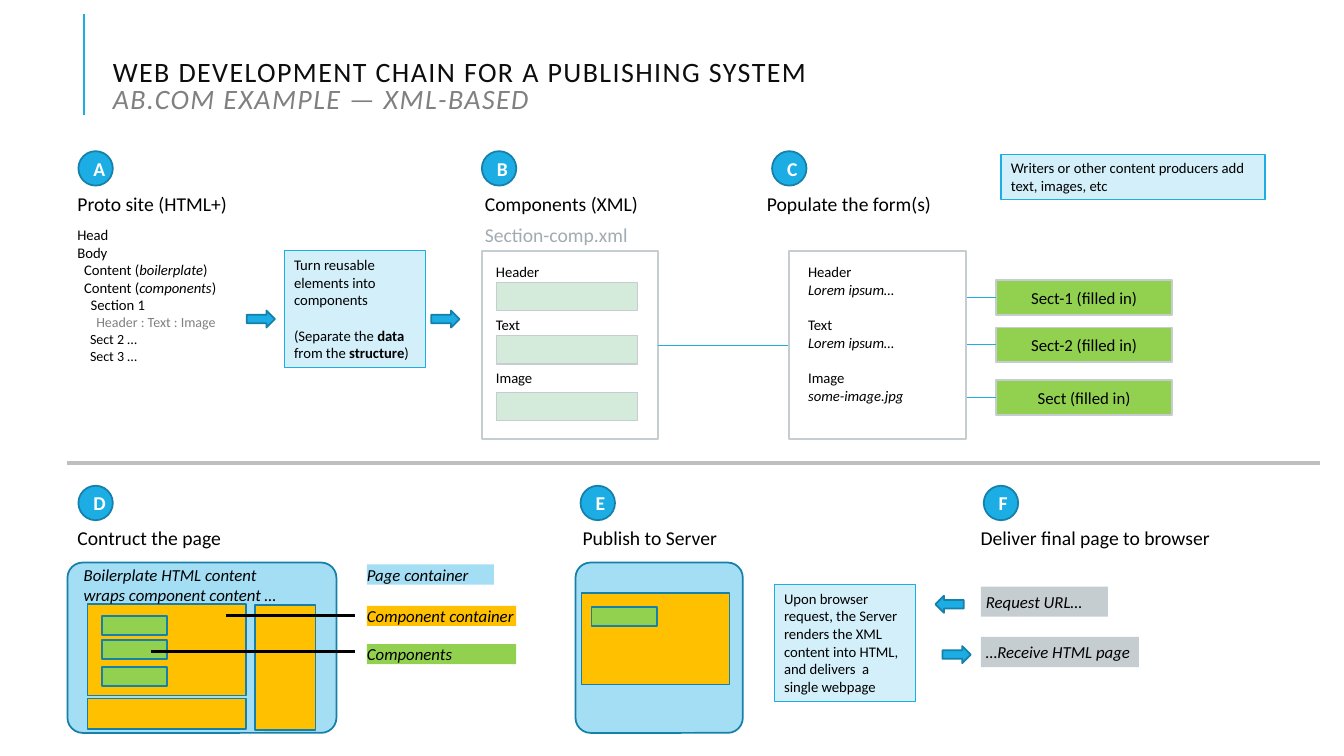
from dataclasses import dataclass
from pptx import Presentation
from pptx.dml.color import RGBColor
from pptx.enum.shapes import MSO_CONNECTOR as LINK, MSO_SHAPE as KIND
from pptx.enum.text import MSO_ANCHOR as ANCHOR, PP_ALIGN as ALIGN
from pptx.oxml.xmlchemy import OxmlElement
from pptx.util import Pt

BLUE, EDGE, SKY, PALE = "1CADE4", "1580A9", "A4DEF4", "D2EFFA"
GREEN, MINT, AMBER = "92D050", "D4EBDB", "FFC000"
SILVER, GRAY, BLACK, WHITE = "C6CDD1", "808080", "000000", "FFFFFF"
SMALL, LINE_GAP = 10.5, 12.6


@dataclass
class Line:
    """One paragraph: (text, style) spans, where style may hold b and i."""
    spans: list
    before: float = 0
    indent: float = 0
    size: float = 0
    color: str = ""


def rgb(value):
    """Turn a hex string into a colour."""
    return RGBColor.from_string(value)


def add_span(para, text, size, color, style=""):
    """Add one run to a paragraph."""
    span = para.add_run()
    span.text = text
    font = span.font
    font.name, font.size, font.color.rgb = "Calibri", Pt(size), rgb(color)
    font.bold, font.italic = "b" in style, "i" in style
    return span


def write(shape, lines, size, color=BLACK, style="", align=ALIGN.LEFT,
          anchor=ANCHOR.TOP, inset=None):
    """Fill a shape with paragraphs."""
    frame = shape.text_frame
    frame.word_wrap, frame.vertical_anchor = True, anchor
    if inset is not None:
        frame.margin_left = frame.margin_right = Pt(inset)
        frame.margin_top = frame.margin_bottom = Pt(inset)
    for index, line in enumerate(lines):
        if isinstance(line, str):
            line = Line([(line, style)])
        para = frame.add_paragraph() if index else frame.paragraphs[0]
        para.alignment, para.space_before = align, Pt(line.before)
        if line.indent:
            para._p.get_or_add_pPr().set("marL", str(Pt(line.indent)))
        for text, span_style in line.spans:
            add_span(para, text, line.size or size, line.color or color, span_style)


def add_box(page, box, fill, edge=None, weight=1.25, kind=KIND.RECTANGLE):
    """Draw a filled preset shape."""
    shape = page.shapes.add_shape(kind, *map(Pt, box))
    shape.shadow.inherit = False
    shape.fill.solid()
    shape.fill.fore_color.rgb = rgb(fill)
    if edge:
        shape.line.color.rgb, shape.line.width = rgb(edge), Pt(weight)
    else:
        shape.line.fill.background()
    return shape


def add_text(page, box, lines, size, **options):
    """Place a text box."""
    write(page.shapes.add_textbox(*map(Pt, box)), lines, size, **options)


def add_line(page, ends, color, weight, kind=LINK.STRAIGHT):
    """Draw a connector without a shadow."""
    line = page.shapes.add_connector(kind, *map(Pt, ends))
    line.line.color.rgb, line.line.width = rgb(color), Pt(weight)
    line._element.spPr.append(OxmlElement("a:effectLst"))
    return line


def add_arrow(page, left, top, turn=0):
    """Draw a small block arrow."""
    arrow = add_box(page, (left, top, 20.2, 12.2), BLUE, EDGE, kind=KIND.RIGHT_ARROW)
    arrow.rotation = turn


def add_callout(page, box, lines):
    """Draw a pale explanatory note."""
    write(add_box(page, box, PALE, BLUE, 0.75), lines, SMALL)


def add_container(page, box):
    """Draw a rounded page container."""
    shape = add_box(page, box, SKY, EDGE, kind=KIND.ROUNDED_RECTANGLE)
    shape.adjustments[0] = 0.09


def add_heading(page, left, top, letter, title, shift, width=150.5):
    """Place a step's lettered badge and its title."""
    badge = add_box(page, (left, top, 24.6, 24.6), BLUE, EDGE, kind=KIND.OVAL)
    write(badge, [letter], 14, WHITE, "b", ALIGN.CENTER, ANCHOR.MIDDLE)
    add_text(page, (left + shift, top + 25.2, width, 24.5), [title], 14)


def draw_title(page, left, top):
    """Draw the title with its accent line."""
    add_line(page, (left, top + 72, left, top), BLUE, 1.5)
    box = page.shapes.add_textbox(Pt(left + 20.8), Pt(top + 2.2), Pt(765.4), Pt(69.8))
    write(box, [], 20, anchor=ANCHOR.BOTTOM, inset=0)
    para = box.text_frame.paragraphs[0]
    para.line_spacing = 0.8
    first = add_span(para, "WEB DEVELOPMENT CHAIN FOR A PUBLISHING SYSTEM", 20, "0D0D0D")
    para.add_line_break()
    second = add_span(para, "AB.COM EXAMPLE — XML-BASED", 20, GRAY, "i")
    for span in (first, second):
        span._r.get_or_add_rPr().set("spc", "100")


def draw_proto_site(page, left, top):
    """Draw step A: the site outline and the split into components."""
    add_heading(page, left, top, "A", "Proto site (HTML+)", -7.8)
    outline = ["Head", "Body"]
    outline += [Line([("Content (", ""), (word, "i"), (")", "")], indent=4.75)
                for word in ("boilerplate", "components")]
    outline += [Line([("Section 1", "")], indent=9.5),
                Line([("Header : Text : Image", "")], indent=13.5, size=10, color=GRAY)]
    outline += [Line([(text, "")], indent=9, size=10) for text in ("Sect 2 …", "Sect 3 …")]
    add_text(page, (left - 7.8, top + 49.7, 150.5, 107.3), outline, SMALL)
    add_callout(page, (left + 147, top + 71.3, 100.8, 83.5), [
        "Turn reusable elements into components",
        Line([("(Separate the ", ""), ("data", "b"), (" from the ", ""),
              ("structure", "b"), (")", "")], before=LINE_GAP)])
    for shift in (120.2, 252):
        add_arrow(page, left + shift, top + 113.8)


def draw_components(page, left, top):
    """Draw step B and return its component form."""
    add_heading(page, left, top, "B", "Components (XML)", -5)
    add_text(page, (left - 5, top + 47.5, 150.5, 24.5), ["Section-comp.xml"], 14,
             color="A1ACB2")
    form = add_box(page, (left, top + 71.3, 126, 134.6), WHITE, SILVER)
    labels = [Line([(name, "")], before=2 * LINE_GAP if index else 0)
              for index, name in enumerate(("Header", "Text", "Image"))]
    add_text(page, (left + 3, top + 76.3, 122.4, 96.5), labels, SMALL)
    for drop in (93.6, 131.8, 172.1):
        add_box(page, (left + 10.2, top + drop, 100.8, 20.2), MINT, SILVER, 0.75)
    return form


def draw_forms(page, left, top, source):
    """Draw step C: the filled form and sections linked to the source form."""
    add_heading(page, left, top, "C", "Populate the form(s)", -10.8)
    add_callout(page, (left + 163.5, top + 2.2, 188.6, 32.6),
                ["Writers or other content producers add text, images, etc"])
    for name, drop in (("Sect-1", 92.2), ("Sect-2", 126), ("Sect", 163.4)):
        section = add_box(page, (left + 159.9, top + drop, 126, 24.8), GREEN, SILVER)
        write(section, [f"{name} (filled in)"], 12, align=ALIGN.CENTER,
              anchor=ANCHOR.MIDDLE)
        link = add_line(page, (0, 0, 0, 0), BLUE, 0.75, LINK.ELBOW)
        link.begin_connect(source, 3)
        link.end_connect(section, 1)
    add_box(page, (left + 12.3, top + 71.3, 126, 134.6), WHITE, SILVER)
    fields = []
    for name, value in (("Header", "Lorem ipsum…"), ("Text", "Lorem ipsum…"),
                        ("Image", "some-image.jpg")):
        fields += [Line([(name, "")], before=LINE_GAP if fields else 0),
                   Line([(value, "i")])]
    add_text(page, (left + 18.7, top + 76.3, 122.4, 108.7), fields, SMALL)


def draw_page_build(page, left, top):
    """Draw step D: nested containers with their colour key."""
    add_heading(page, left, top, "D", "Contruct the page", -7.8)
    add_container(page, (left - 7.8, top + 54.8, 192.2, 121.7))
    for shift, drop, width, height in ((6.6, 84.3, 113, 65.5), (6.6, 152, 113, 21.6),
                                       (126.2, 85, 43.2, 89.3)):
        add_box(page, (left + shift, top + drop, width, height), AMBER, EDGE)
    for drop in (92.9, 110.2, 129.6):
        add_box(page, (left + 16.7, top + drop, 46.8, 13.7), GREEN, EDGE)
    add_text(page, (left + 3.8, top + 56.2, 143.3, 28.8),
             ["Boilerplate HTML content wraps component content …"], 12,
             style="i", inset=0)
    for name, drop, width, fill in (("Page container", 56.2, 90.7, SKY),
                                    ("Component container", 85.7, 106.6, AMBER),
                                    ("Components", 113.1, 106.6, GREEN)):
        key = add_box(page, (left + 206.1, top + drop, width, 14.4), fill)
        write(key, [name], 12, style="i", inset=0)
    for shift, drop in ((105.3, 92.9), (52, 118.1)):
        add_line(page, (left + shift, top + drop, left + 197.4, top + drop), BLACK, 2.25)


def draw_server(page, left, top):
    """Draw step E: the published page on the server."""
    add_heading(page, left, top, "E", "Publish to Server", -5.7)
    add_container(page, (left - 3.6, top + 54.8, 119.5, 121.7))
    add_box(page, (left + 0.7, top + 76.4, 105.8, 65.5), AMBER, EDGE)
    add_box(page, (left + 7.9, top + 86.4, 46.8, 13.7), GREEN, EDGE)
    add_callout(page, (left + 138.3, top + 70.6, 100.8, 83.5), [
        "Upon browser request, the Server renders the XML content into HTML, "
        "and delivers  a single webpage"])


def draw_browser(page, left, top):
    """Draw step F: the browser's request and reply."""
    add_heading(page, left, top, "F", "Deliver final page to browser", -9.3, 221)
    for text, drop, width, shift, turn in (("Request URL…", 72, 90.7, -34.5, 180),
                                           ("…Receive HTML page", 108, 113, -29.5, 0)):
        message = add_box(page, (left - 2.1, top + drop, width, 21.6), SILVER)
        write(message, [text], 12, style="i", inset=3.6)
        add_arrow(page, left + shift, top + drop + 6.5, turn)


def main():
    """Build the deck and save it."""
    deck = Presentation()
    deck.slide_width, deck.slide_height = Pt(960), Pt(540)
    page = deck.slides.add_slide(deck.slide_layouts[6])
    upper, lower = 108, 347
    draw_title(page, 59.8, 10)
    draw_proto_site(page, 56, upper)
    form = draw_components(page, 344.2, upper)
    draw_forms(page, 551.5, upper, form)
    add_line(page, (48.2, 330.5, 943.2, 330.5), "BFBFBF", 3)
    draw_page_build(page, 56, lower)
    draw_server(page, 414.7, lower)
    draw_browser(page, 702.7, lower)
    deck.save("out.pptx")


if __name__ == "__main__":
    main()
